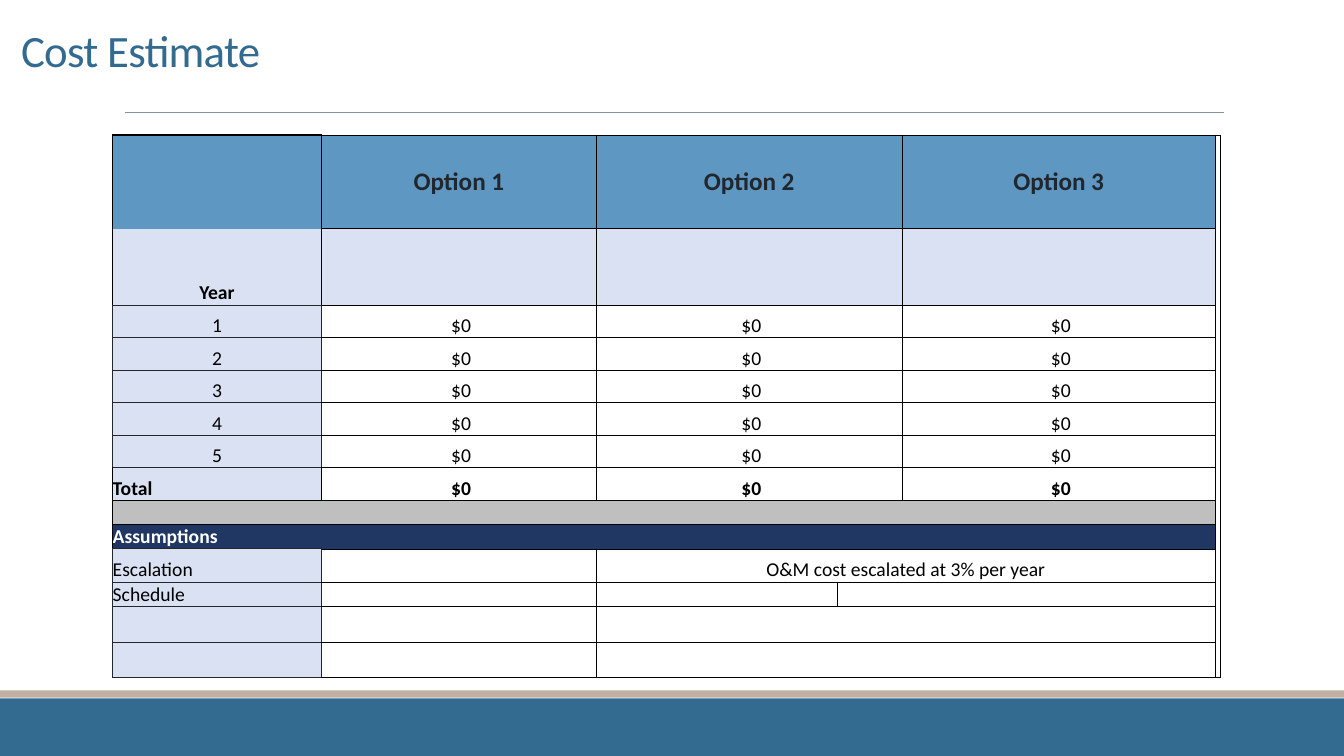
from pptx import Presentation
from pptx.dml.color import RGBColor
from pptx.enum.shapes import MSO_CONNECTOR, MSO_SHAPE
from pptx.enum.text import MSO_ANCHOR, PP_ALIGN
from pptx.oxml.ns import qn
from pptx.util import Cm, Pt
from lxml.etree import SubElement

COLOURS = {
    "band": "336A90", "strip": "BFB0A3", "rule": "8293A4",
    "header": "5D97C2", "label": "D9E1F2", "gap": "BFBFBF", "section": "203764",
    "ink": "21272D", "black": "000000", "white": "FFFFFF",
}
FONT = "Calibri"
NO_STYLE = "{2D5ABB26-0587-4C30-8999-92F81FD0307C}"
COLUMN_WIDTHS = [5.26, 6.93, 6.07, 1.63, 7.9, 0.13]
YEARS = 5
ROW_HEIGHTS = [2.36, 1.93] + [0.82] * (YEARS + 1) + [0.61, 0.61, 0.84, 0.61, 0.9, 0.9]
TOTAL_ROW = YEARS + 2
GAP_ROW, SECTION_ROW, FIRST_ASSUMPTION = TOTAL_ROW + 1, TOTAL_ROW + 2, TOTAL_ROW + 3
LAST_ROW = len(ROW_HEIGHTS) - 1
VALUE_COLUMNS = [1, 2, 4]
COST = " $0"


def rgb(name):
    return RGBColor.from_string(COLOURS[name])


def add_bar(slide, top, height, colour):
    bar = slide.shapes.add_shape(MSO_SHAPE.RECTANGLE, 0, Cm(top), Cm(33.87), Cm(height))
    bar.shadow.inherit = False
    bar.fill.solid()
    bar.fill.fore_color.rgb = rgb(colour)
    bar.line.fill.background()


def add_rule(slide, left, right, top):
    rule = slide.shapes.add_connector(
        MSO_CONNECTOR.STRAIGHT, Cm(left), Cm(top), Cm(right), Cm(top))
    rule.line.color.rgb = rgb("rule")
    rule.line.width = Pt(0.5)
    SubElement(rule._element.spPr, qn("a:effectLst"))


def add_run(paragraph, text, size, colour, bold=False):
    run = paragraph.add_run()
    run.text = text
    run.font.name = FONT
    run.font.size = Pt(size)
    run.font.bold = bold
    run.font.color.rgb = rgb(colour)
    return run


def format_title(slide, text):
    title = slide.shapes.title
    title.left, title.top, title.width, title.height = Cm(0.28), Cm(0.05), Cm(30.48), Cm(2)
    frame = title.text_frame
    frame.vertical_anchor = MSO_ANCHOR.BOTTOM
    frame.margin_left = frame.margin_right = Cm(0.25)
    frame.margin_top, frame.margin_bottom = 0, Cm(0.13)
    frame.paragraphs[0].alignment = PP_ALIGN.LEFT
    run = add_run(frame.paragraphs[0], text, 32, "band")
    run.font._element.set("spc", "-50")


def edges(thin="", heavy="", ink=""):
    """Map each side (L, R, T, B) to its colour and width in points."""
    return {**dict.fromkeys(thin, ("black", 0.5)),
            **dict.fromkeys(heavy, ("black", 1)),
            **dict.fromkeys(ink, ("ink", 1))}


def set_borders(cell, borders):
    properties = cell._tc.get_or_add_tcPr()
    for side in "LRTB":
        if side in borders:
            colour, width = borders[side]
            line = SubElement(properties, qn(f"a:ln{side}"), w=str(Pt(width)))
            fill = SubElement(line, qn("a:solidFill"))
            SubElement(fill, qn("a:srgbClr"), val=COLOURS[colour])


def fill_cell(cell, borders, fill=None, text="", size=14, colour="black",
              bold=False, align=PP_ALIGN.CENTER, anchor=MSO_ANCHOR.BOTTOM):
    set_borders(cell, borders)
    if fill:
        cell.fill.solid()
        cell.fill.fore_color.rgb = rgb(fill)
    else:
        cell.fill.background()
    cell.vertical_anchor = anchor
    if text:
        paragraph = cell.text_frame.paragraphs[0]
        paragraph.alignment = align
        add_run(paragraph, text, size, colour, bold)


def add_grid(slide):
    table = slide.shapes.add_table(
        len(ROW_HEIGHTS), len(COLUMN_WIDTHS), Cm(2.84), Cm(3.4),
        Cm(sum(COLUMN_WIDTHS)), Cm(sum(ROW_HEIGHTS))).table
    table.first_row = table.horz_banding = False
    table._tbl.tblPr.find(qn("a:tableStyleId")).text = NO_STYLE
    for column, width in zip(table.columns, COLUMN_WIDTHS):
        column.width = Cm(width)
    for row, height in zip(table.rows, ROW_HEIGHTS):
        row.height = Cm(height)
    for cell in table.iter_cells():
        cell.margin_left = cell.margin_right = cell.margin_top = cell.margin_bottom = 0
        # Small end mark, so that empty cells do not stretch their row
        cell.text_frame.paragraphs[0]._p.get_or_add_endParaRPr().set("sz", "1000")
    return table


def merge_cells(table):
    table.cell(0, 5).merge(table.cell(LAST_ROW, 5))
    for row in range(FIRST_ASSUMPTION):
        table.cell(row, 2).merge(table.cell(row, 3))
    for row in range(FIRST_ASSUMPTION, LAST_ROW + 1):
        first = 3 if row == FIRST_ASSUMPTION + 1 else 2
        table.cell(row, first).merge(table.cell(row, 4))


def fill_costs(table):
    # Header and year heading
    fill_cell(table.cell(0, 0), edges("R", "LT"), "header")
    fill_cell(table.cell(1, 0), edges("R", "L", "B"), "label", "Year", bold=True)
    for number, column in enumerate(VALUE_COLUMNS, 1):
        fill_cell(table.cell(0, column), edges("LRTB"), "header", f"Option {number}",
                  size=18, colour="ink", bold=True, anchor=MSO_ANCHOR.MIDDLE)
        fill_cell(table.cell(1, column), edges("LRTB"), "label")

    # One row a year
    for year in range(1, YEARS + 1):
        row = year + 1
        fill_cell(table.cell(row, 0), edges(ink="LRTB"), "label", str(year))
        for column in VALUE_COLUMNS:
            borders = edges("LRTB", "B" if year == YEARS else "", "L" if column == 1 else "")
            fill_cell(table.cell(row, column), borders, text=COST)

    # Total
    fill_cell(table.cell(TOTAL_ROW, 0), edges("R", "LB", "T"), "label", "Total",
              bold=True, align=PP_ALIGN.LEFT)
    for column in VALUE_COLUMNS:
        fill_cell(table.cell(TOTAL_ROW, column), edges("LR", "TB"), text=COST, bold=True)


def fill_assumptions(table):
    # Grey gap and section heading
    fill_cell(table.cell(GAP_ROW, 0), edges(heavy="LTB"), "gap")
    fill_cell(table.cell(SECTION_ROW, 0), edges(heavy="LT", ink="B"), "section",
              "Assumptions", colour="white", bold=True, align=PP_ALIGN.LEFT)
    for column in VALUE_COLUMNS:
        fill_cell(table.cell(GAP_ROW, column), edges(heavy="TB"), "gap")
        fill_cell(table.cell(SECTION_ROW, column), edges("B", "T"), "section")

    # Assumption rows
    notes = [("Escalation", "O&M cost escalated at 3% per year"), ("Schedule", ""),
             ("", ""), ("", "")]
    for row, (label, note) in enumerate(notes, FIRST_ASSUMPTION):
        bottom = "B" if row == LAST_ROW else ""
        fill_cell(table.cell(row, 0), edges(ink="LRTB"), "label", label, align=PP_ALIGN.LEFT)
        fill_cell(table.cell(row, 1), edges("LRTB", bottom, "L"))
        fill_cell(table.cell(row, 2), edges("LRTB", bottom), text=note)
    fill_cell(table.cell(FIRST_ASSUMPTION + 1, 3), edges("LRTB"))


def main():
    presentation = Presentation()
    presentation.slide_width, presentation.slide_height = Cm(33.87), Cm(19.05)
    slide = presentation.slides.add_slide(presentation.slide_layouts[5])

    # Frame of the slide
    add_bar(slide, 17.6, 1.45, "band")
    add_bar(slide, 17.4, 0.18, "strip")
    add_rule(slide, 3.15, 30.84, 2.84)
    format_title(slide, "Cost Estimate")

    # Cost table
    table = add_grid(slide)
    merge_cells(table)
    fill_costs(table)
    fill_assumptions(table)
    fill_cell(table.cell(0, 5), edges("LT", "RB"))

    presentation.save("out.pptx")


if __name__ == "__main__":
    main()
